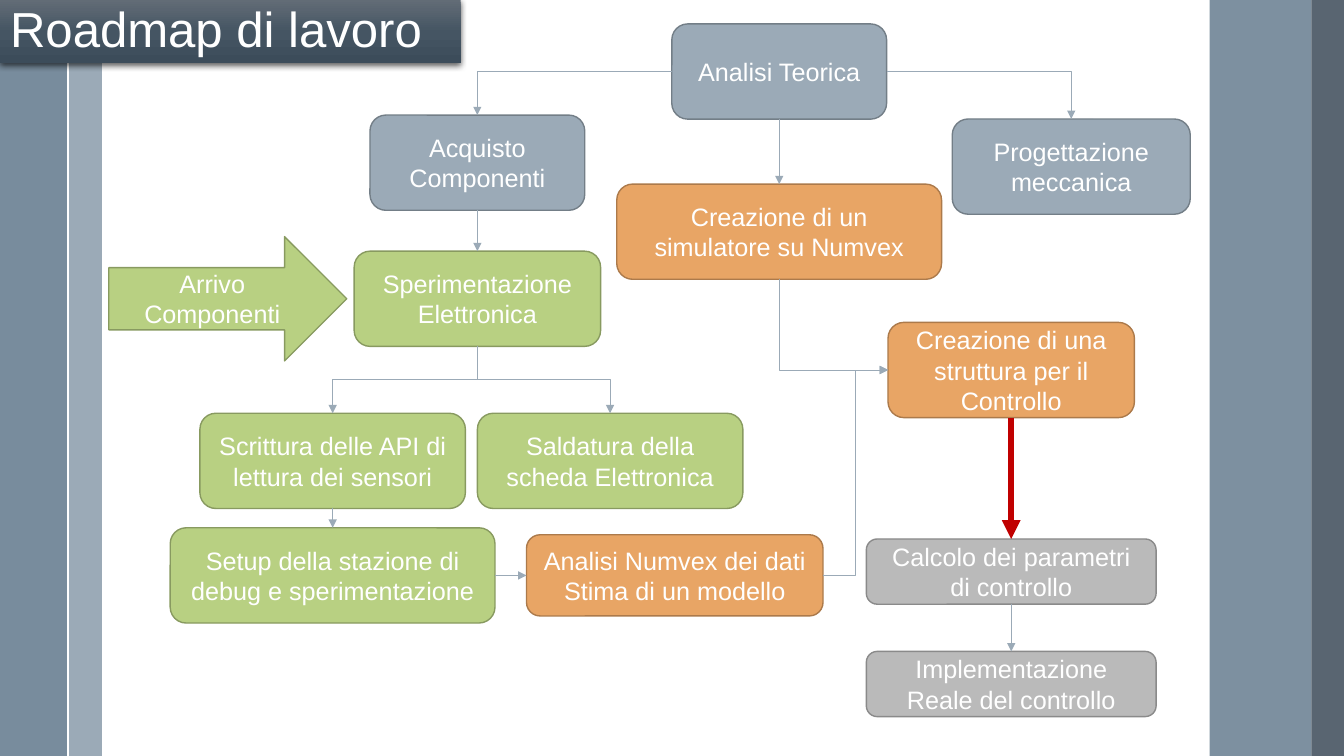
import copy

import pptx
import pptx.dml.color
import pptx.enum.shapes
import pptx.enum.text
import pptx.oxml.ns
import pptx.util
from lxml import etree

Pt = pptx.util.Pt
qn = pptx.oxml.ns.qn
SHAPE = pptx.enum.shapes.MSO_SHAPE
CONNECTOR = pptx.enum.shapes.MSO_CONNECTOR
ALIGN = pptx.enum.text.PP_ALIGN
ANCHOR = pptx.enum.text.MSO_ANCHOR
TOP, LEFT, BOTTOM, RIGHT = range(4)

# Content
TITLE = "Roadmap di lavoro"
SLIDE_SIZE = (960, 540)
COLORS = {
    "white": "FFFFFF", "band": "6A8093", "edge": "475562", "red": "C00000", "black": "000000",
    "slate": "9BAAB7", "slate line": "737E87",
    "green": "B8D082", "green line": "889A60",
    "orange": "E8A565", "orange line": "AC7A4B",
    "gray": "BABABA", "gray line": "8A8A8A",
    "title top": "626C76", "title middle": "455563", "title bottom": "3C4C5A",
}
TITLE_STOPS = [(0, "title top"), (0.5, "title middle"), (1, "title bottom")]

# Vertical bands: left, width, colour, opacity in percent
BANDS = [
    (48.7, 24, "slate", 100),
    (0, 48.3, "band", 90),
    (864, 72.7, "band", 87),
    (936.7, 23.3, "edge", 90),
]

# Steps: text lines, colour, centre x, centre y, width, height
STEPS = {
    "theory": (["Analisi Teorica"], "slate", 556.6, 51.1, 153.4, 68),
    "purchase": (["Acquisto Componenti"], "slate", 341, 116.2, 153.4, 68),
    "mechanics": (["Progettazione meccanica"], "slate", 765.2, 119, 170, 68),
    "arrival": (["Arrivo Componenti"], "green", 162.7, 213.4, 170, 88.8),
    "testing": (["Sperimentazione Elettronica"], "green", 341, 213.4, 176, 68),
    "sensors": (["Scrittura delle API di lettura dei sensori"], "green", 237.6, 329.2, 189.6, 68),
    "setup": (["Setup della stazione di debug e sperimentazione"], "green", 237.6, 411, 232, 68),
    "soldering": (["Saldatura della scheda Elettronica"], "green", 435.8, 329.2, 189.6, 68),
    "model": (["Analisi Numvex dei dati", "Stima di un modello"], "orange", 482, 411, 211.8, 58),
    "simulator": (["Creazione di un simulatore su Numvex"], "orange", 556.6, 165.5, 232, 68),
    "structure": (["Creazione di una struttura per il Controllo"], "orange", 722.3, 264.3, 176, 68),
    "parameters": (["Calcolo dei parametri di controllo"], "gray", 722.3, 408.3, 207, 46.6),
    "deployment": (["Implementazione Reale del controllo"], "gray", 722.3, 488.6, 207, 46.6),
}

# Links: start step, side, end step, side, colour, line width
LINKS = [
    ("theory", LEFT, "purchase", TOP, "slate", 0.75),
    ("theory", RIGHT, "mechanics", TOP, "slate", 0.75),
    ("theory", BOTTOM, "simulator", TOP, "slate", 0.75),
    ("purchase", BOTTOM, "testing", TOP, "slate", 0.75),
    ("testing", BOTTOM, "sensors", TOP, "slate", 0.75),
    ("testing", BOTTOM, "soldering", TOP, "slate", 0.75),
    ("sensors", BOTTOM, "setup", TOP, "slate", 0.75),
    ("setup", RIGHT, "model", LEFT, "slate", 0.5),
    ("simulator", BOTTOM, "structure", LEFT, "slate", 0.5),
    ("model", RIGHT, "structure", LEFT, "slate", 0.5),
    ("structure", BOTTOM, "parameters", TOP, "red", 4.5),
    ("parameters", BOTTOM, "deployment", TOP, "slate", 0.5),
]


def rgb(name):
    return pptx.dml.color.RGBColor.from_string(COLORS[name])


def write_text(frame, lines, size=18, align=ALIGN.CENTER, anchor=ANCHOR.MIDDLE, spacing=None):
    frame.word_wrap = True
    frame.auto_size = pptx.enum.text.MSO_AUTO_SIZE.NONE
    frame.vertical_anchor = anchor
    for index, line in enumerate(lines):
        para = frame.add_paragraph() if index else frame.paragraphs[0]
        para.alignment = align
        if spacing:
            para.line_spacing = spacing
        span = para.add_run()
        span.text = line
        span.font.name = "Arial"
        span.font.size = Pt(size)
        span.font.color.rgb = rgb("white")


def add_band(page, left, width, color, opacity):
    band = page.shapes.add_shape(SHAPE.RECTANGLE, Pt(left), 0, Pt(width), Pt(SLIDE_SIZE[1]))
    band.shadow.inherit = False
    band.line.fill.background()
    band.fill.solid()
    band.fill.fore_color.rgb = rgb(color)
    if opacity < 100:
        color_node = band.element.spPr.find(qn("a:solidFill"))[0]
        etree.SubElement(color_node, qn("a:alpha"), val=str(opacity * 1000))


def add_step(page, name):
    lines, color, x, y, width, height = STEPS[name]
    kind = SHAPE.RIGHT_ARROW if name == "arrival" else SHAPE.ROUNDED_RECTANGLE
    box = page.shapes.add_shape(kind, Pt(x - width / 2), Pt(y - height / 2), Pt(width), Pt(height))
    box.shadow.inherit = False
    box.fill.solid()
    box.fill.fore_color.rgb = rgb(color)
    box.line.color.rgb = rgb(color + " line")
    box.line.width = Pt(1)
    write_text(box.text_frame, lines)
    return box


def side_point(name, side):
    _, _, x, y, width, height = STEPS[name]
    return {TOP: (x, y - height / 2), LEFT: (x - width / 2, y),
            BOTTOM: (x, y + height / 2), RIGHT: (x + width / 2, y)}[side]


def add_line(page, kind, begin, end, color, width):
    line = page.shapes.add_connector(kind, *(Pt(value) for value in begin + end))
    line.line.color.rgb = rgb(color)
    line.line.width = Pt(width)
    etree.SubElement(line.element.spPr, qn("a:effectLst"))
    return line


def bend(link, begin, end, start_side, end_side):
    """Shape an elbow so that it leaves and enters at the given sides."""
    if (start_side + end_side) % 2:
        link.element.spPr.find(qn("a:prstGeom")).set("prst", "bentConnector2")
    if start_side != BOTTOM:
        return
    # A downward start is a sideways elbow turned by a quarter
    dx, dy = end[0] - begin[0], end[1] - begin[1]
    link.left = Pt((begin[0] + end[0] - dy) / 2)
    link.top = Pt((begin[1] + end[1] - abs(dx)) / 2)
    link.width, link.height = Pt(dy), Pt(abs(dx))
    frame = link.element.spPr.find(qn("a:xfrm"))
    for flip in ("flipH", "flipV"):
        frame.attrib.pop(flip, None)
    frame.set("rot", str((270 if dx > 0 else 90) * 60000))
    if dx > 0:
        frame.set("flipH", "1")


def add_link(page, boxes, start, start_side, finish, end_side, color, width):
    begin, end = side_point(start, start_side), side_point(finish, end_side)
    straight = begin[0] == end[0] or begin[1] == end[1]
    kind = CONNECTOR.STRAIGHT if straight else CONNECTOR.ELBOW
    link = add_line(page, kind, begin, end, color, width)
    link.begin_connect(boxes[start], start_side)
    link.end_connect(boxes[finish], end_side)
    if not straight:
        bend(link, begin, end, start_side, end_side)
    etree.SubElement(link.element.spPr.find(qn("a:ln")), qn("a:tailEnd"), type="triangle")


def format_title(title):
    title.left, title.top, title.width, title.height = 0, 0, Pt(329), Pt(45.2)
    write_text(title.text_frame, [TITLE], size=35.1, align=ALIGN.LEFT,
               anchor=ANCHOR.TOP, spacing=0.9)
    # Three-stop vertical gradient
    title.fill.gradient()
    title.fill.gradient_angle = 270
    stops = title.element.spPr.find(qn("a:gradFill")).find(qn("a:gsLst"))
    stops.append(copy.deepcopy(stops[0]))
    for stop, (position, color) in zip(title.fill.gradient_stops, TITLE_STOPS):
        stop.position = position
        stop.color.rgb = rgb(color)
    # Soft shadow below
    effects = etree.SubElement(title.element.spPr, qn("a:effectLst"))
    shadow = etree.SubElement(effects, qn("a:outerShdw"), blurRad=str(Pt(4.5)),
                              dist=str(Pt(1.5)), dir="5400000", rotWithShape="0")
    shade = etree.SubElement(shadow, qn("a:srgbClr"), val=COLORS["black"])
    etree.SubElement(shade, qn("a:alpha"), val="63000")
    # Bring the title in front of the bands
    title.element.getparent().append(title.element)


def main():
    deck = pptx.Presentation()
    deck.slide_width, deck.slide_height = (Pt(value) for value in SLIDE_SIZE)
    page = deck.slides.add_slide(deck.slide_layouts[5])

    # Background
    for band in BANDS:
        add_band(page, *band)
    add_line(page, CONNECTOR.STRAIGHT, (48.5, 0), (48.5, SLIDE_SIZE[1]), "white", 1.5)

    # Flowchart
    boxes = {name: add_step(page, name) for name in STEPS}
    for link in LINKS:
        add_link(page, boxes, *link)

    format_title(page.shapes.title)
    deck.save("out.pptx")


if __name__ == "__main__":
    main()
